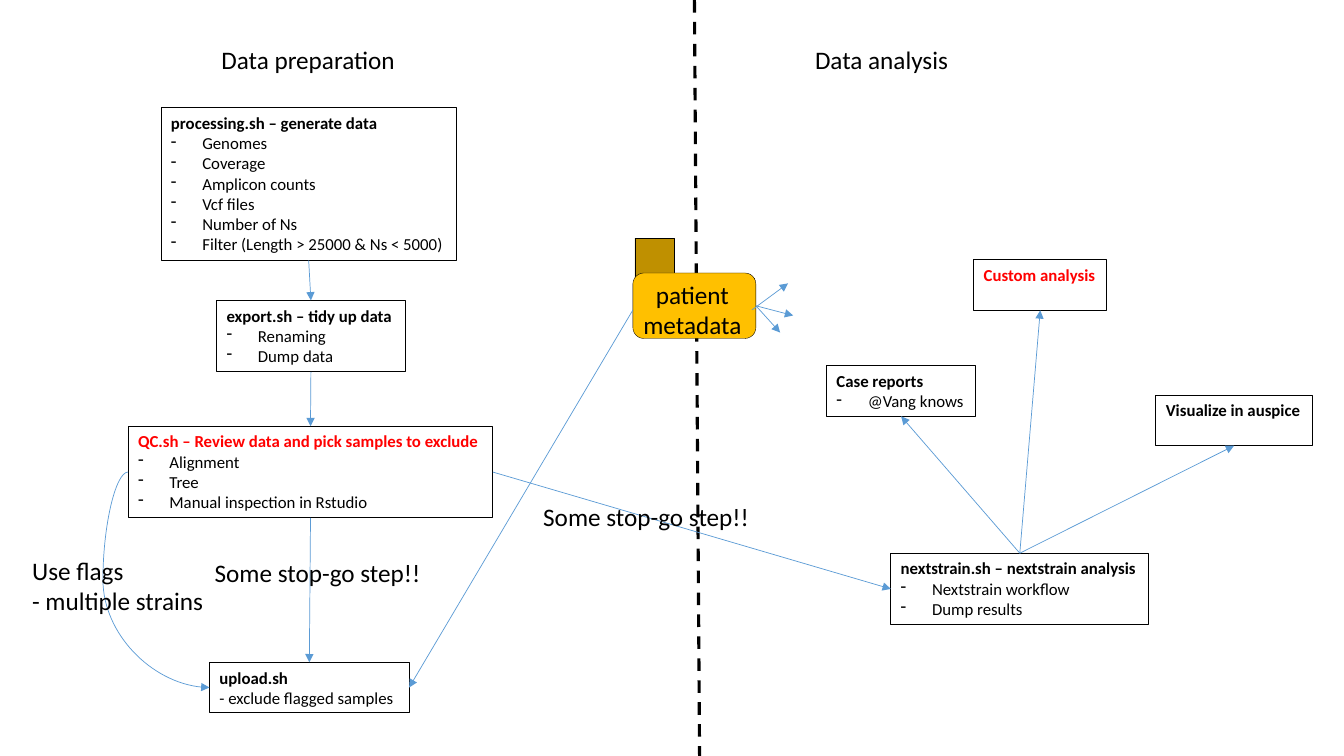
from math import cos, pi, sin

from lxml import etree
from pptx import Presentation
from pptx.dml.color import RGBColor
from pptx.enum.dml import MSO_LINE
from pptx.enum.shapes import MSO_CONNECTOR, MSO_SHAPE
from pptx.enum.text import MSO_ANCHOR, PP_ALIGN
from pptx.oxml.ns import qn
from pptx.util import Cm, Pt

RECT = MSO_SHAPE.RECTANGLE
ROUND = MSO_SHAPE.ROUNDED_RECTANGLE
STRAIGHT = MSO_CONNECTOR.STRAIGHT
CURVE = MSO_CONNECTOR.CURVE
DASH = MSO_LINE.DASH
TOP = MSO_ANCHOR.TOP
LEFT = PP_ALIGN.LEFT
CENTER = PP_ALIGN.CENTER
NORTH, WEST, SOUTH, EAST = range(4)

BLACK = "000000"
RED = "FF0000"
BLUE = "5B9BD5"
GOLD = "FFC000"
BROWN = "BF9000"


def rgb(code):
    return RGBColor.from_string(code)


def bend(points, steps=6):
    """Turn (x, y, radius) corners into an outline with rounded corners."""
    out = []
    for i, (x, y, r) in enumerate(points):
        if not r:
            out.append((x, y))
            continue
        arms = []
        for px, py, _ in (points[i - 1], points[(i + 1) % len(points)]):
            size = abs(px - x) + abs(py - y)
            arms.append(((px - x) / size * r, (py - y) / size * r))
        (ax, ay), (bx, by) = arms
        for k in range(steps + 1):
            turn = pi / 2 * k / steps
            a, b = 1 - sin(turn), 1 - cos(turn)
            out.append((x + a * ax + b * bx, y + a * ay + b * by))
    return out


class Board:
    font = "Calibri"

    def __init__(self, slide):
        self.shapes = slide.shapes

    def paint(self, shape, fill, width):
        shape.shadow.inherit = False
        if fill:
            shape.fill.solid()
            shape.fill.fore_color.rgb = rgb(fill)
        else:
            shape.fill.background()
        shape.line.color.rgb = rgb(BLACK)
        shape.line.width = Pt(width)

    def shape(self, kind, area, fill=None, width=0.75):
        shape = self.shapes.add_shape(kind, *map(Cm, area))
        self.paint(shape, fill, width)
        return shape

    def letter(self, para, text, size, color=BLACK, bold=False, align=LEFT):
        """Put styled text in a paragraph."""
        para.text = text
        para.alignment = align
        font = para.font
        font.name, font.size, font.bold = self.font, Pt(size), bold
        font.color.rgb = rgb(color)

    def dash(self, para):
        """Give the paragraph a hanging dash bullet."""
        props = para._p.get_or_add_pPr()
        props.set("marL", str(Cm(0.79)))
        props.set("indent", str(-Cm(0.79)))
        mark = etree.Element(qn("a:buChar"), char="-")
        props.insert(0, mark)

    def box(self, area, title, items=(), color=BLACK, marks=True):
        shape = self.shape(RECT, area)
        frame = shape.text_frame
        frame.word_wrap = True
        frame.margin_right = 0
        frame.vertical_anchor = TOP
        self.letter(frame.paragraphs[0], title, 12, color, True)
        for item in items:
            para = frame.add_paragraph()
            self.letter(para, item, 12)
            if marks:
                self.dash(para)
        return shape

    def label(self, area, *lines, align=LEFT):
        shape = self.shapes.add_textbox(*map(Cm, area))
        frame = shape.text_frame
        frame.word_wrap = True
        frame.margin_right = 0
        if align == CENTER:
            frame.margin_left = 0
        for i, line in enumerate(lines):
            para = frame.add_paragraph() if i else frame.paragraphs[0]
            self.letter(para, line, 18, align=align)
        return shape

    def line(self, start, end, color=BLUE, width=0.5, kind=STRAIGHT):
        """Join two ends, each an (x, y) point or a (shape, side) pair."""
        fixed = [(0, 0) if hasattr(e[0], "left") else e for e in (start, end)]
        link = self.shapes.add_connector(
            kind, *(Cm(v) for point in fixed for v in point))
        if fixed[0] != start:
            link.begin_connect(*start)
        if fixed[1] != end:
            link.end_connect(*end)
        link.line.color.rgb = rgb(color)
        link.line.width = Pt(width)
        etree.SubElement(link._element.spPr, qn("a:effectLst"))
        return link

    def arrow(self, start, end, kind=STRAIGHT):
        link = self.line(start, end, kind=kind)
        stroke = link._element.spPr.find(qn("a:ln"))
        etree.SubElement(stroke, qn("a:tailEnd"), type="triangle")
        return link

    def outline(self, points, fill, width):
        first, *rest = bend(points)
        pen = self.shapes.build_freeform(*first, scale=Cm(1))
        pen.add_line_segments(rest, close=True)
        self.paint(pen.convert_to_shape(), fill, width)


def main():
    deck = Presentation()
    deck.slide_width, deck.slide_height = Cm(33.87), Cm(19.05)
    board = Board(deck.slides.add_slide(deck.slide_layouts[6]))

    divide = board.line((17.5, 0), (17.63, 19.05), BLACK, 2.25)
    divide.line.dash_style = DASH

    process = board.box(
        (4.06, 2.72, 7.44, 3.84), "processing.sh – generate data",
        ("Genomes", "Coverage", "Amplicon counts", "Vcf files",
         "Number of Ns", "Filter (Length > 25000 & Ns < 5000)"))
    export = board.box((5.46, 7.57, 4.75, 1.8), "export.sh – tidy up data",
                       ("Renaming", "Dump data"))
    check = board.box(
        (3.23, 10.74, 9.19, 2.31),
        "QC.sh – Review data and pick samples to exclude",
        ("Alignment", "Tree", "Manual inspection in Rstudio"), RED)
    upload = board.box((5.28, 16.69, 5.03, 1.27), "upload.sh",
                       ("- exclude flagged samples",), marks=False)
    strain = board.box(
        (22.45, 13.94, 6.5, 1.8), "nextstrain.sh – nextstrain analysis",
        ("Nextstrain workflow", "Dump results"))
    cases = board.box((20.83, 9.22, 3.76, 1.27), "Case reports",
                      ("@Vang knows",))
    custom = board.box((24.54, 6.55, 3.35, 1.27), "Custom analysis",
                       color=RED)
    visual = board.box((29.13, 9.96, 3.94, 1.27), "Visualize in auspice")

    board.outline(
        [(16.23, 6.48, 0.1), (17.04, 6.48, 0.1), (17.04, 6.63, 0),
         (19.05, 6.63, 0.3), (19.05, 8.31, 0.3), (15.95, 8.31, 0.3),
         (15.95, 6.63, 0.25), (16.23, 6.63, 0)], BROWN, 0.25)
    folder = board.shape(ROUND, (15.95, 6.88, 3.1, 1.65), GOLD, 0.25)
    patient = board.label((15.95, 6.91, 3, 1.8), "patient", "metadata",
                          align=CENTER)

    for upper, lower in ((process, export), (export, check),
                         (check, upload)):
        board.arrow((upper, SOUTH), (lower, NORTH))
    board.arrow((check, EAST), (strain, WEST))
    for result in (cases, custom, visual):
        board.arrow((strain, NORTH), (result, SOUTH))
    board.arrow((patient, WEST), (upload, EAST))
    board.arrow((patient, EAST), (19.86, 7.14))
    for tip in ((19.66, 8.38), (19.99, 7.95)):
        board.arrow((folder, EAST), tip)

    loop = board.arrow((check, WEST), (upload, WEST), CURVE)
    guides = loop._element.spPr.find(qn("a:prstGeom")).get_or_add_avLst()
    etree.SubElement(guides, qn("a:gd"), name="adj1", fmla="val -31000")

    board.label((5.33, 0.99, 4.93, 1.02), "Data preparation")
    board.label((20.29, 0.99, 3.91, 1.02), "Data analysis")
    board.label((0.56, 13.87, 4.88, 1.8), "Use flags", "- multiple strains")
    for x, y in ((5.16, 13.92), (13.44, 12.5)):
        board.label((x, y, 5.77, 1.02), "Some stop-go step!!")

    deck.save("out.pptx")


if __name__ == "__main__":
    main()
